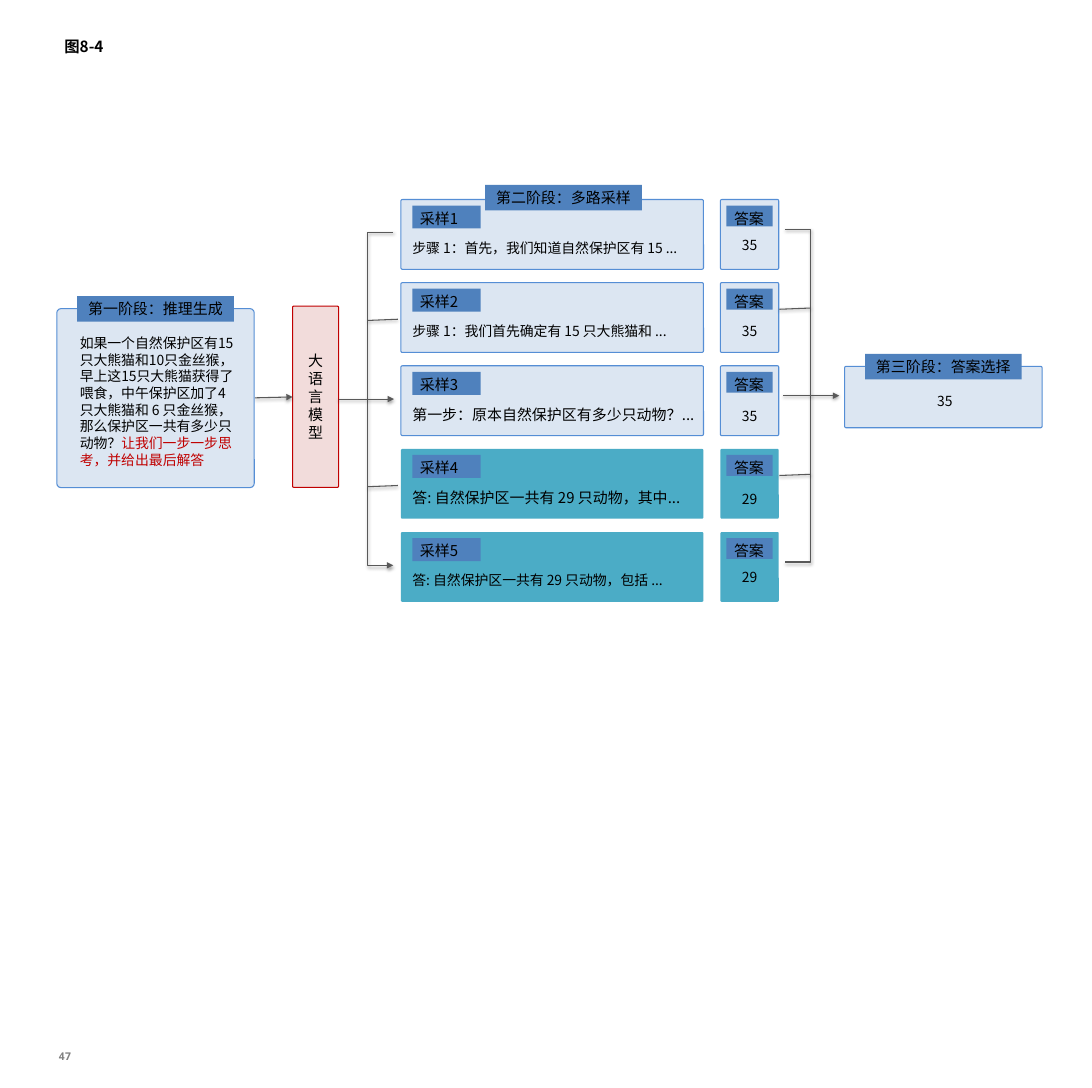
from dataclasses import dataclass

from lxml.etree import SubElement
from pptx import Presentation
from pptx.dml.color import RGBColor
from pptx.enum.shapes import MSO_CONNECTOR, MSO_SHAPE
from pptx.enum.text import MSO_ANCHOR, PP_ALIGN
from pptx.oxml.ns import qn
from pptx.util import Cm, Pt


@dataclass(frozen=True)
class Theme:
    """Colours, fonts and type sizes of the slide."""
    ink: str = "000000"
    accent: str = "C00000"
    label: str = "4F81BD"
    card: str = "DCE6F2"
    card_line: str = "558ED5"
    minority: str = "4BACC6"
    model: str = "F2DCDB"
    arrow: str = "595959"
    footer: str = "808080"
    font: str = "Noto Sans CJK SC"
    mono: str = "Noto Sans Mono"
    heading_size: float = 14.4
    label_size: float = 14
    body_size: float = 13
    footer_size: float = 10
    leading: float = 1.2


@dataclass(frozen=True)
class Box:
    """A rectangle in centimetres."""
    left: float
    top: float
    width: float
    height: float

    def inner(self, dx, dy, width, height):
        """Return a box offset from this one's top left corner."""
        return Box(self.left + dx, self.top + dy, width, height)

    def lengths(self):
        """Return the four sides as slide lengths."""
        return Cm(self.left), Cm(self.top), Cm(self.width), Cm(self.height)


THEME = Theme()
ROW_PITCH = 2.75
SAMPLES = [
    ("步骤 1：首先，我们知道自然保护区有 15 ...", 13, "35", 1.51),
    ("步骤 1：我们首先确定有 15 只大熊猫和 ...", 13, "35", 1.6),
    ("第一步：原本自然保护区有多少只动物？...", 14, "35", 1.66),
    ("答: 自然保护区一共有 29 只动物，其中...", 14, "29", 1.66),
    ("答: 自然保护区一共有 29 只动物，包括 ...", 13, "29", 1.47),
]
QUESTION = ("如果一个自然保护区有15只大熊猫和10只金丝猴，早上这15只大熊猫获得了喂食，"
            "中午保护区加了4只大熊猫和 6 只金丝猴，那么保护区一共有多少只动物？")
INSTRUCTION = "让我们一步一步思考，并给出最后解答"


def write(shape, lines, size, align=PP_ALIGN.LEFT, anchor=MSO_ANCHOR.TOP,
          color=THEME.ink, font=THEME.font, bold=False):
    """Fill a shape with one paragraph per line."""
    frame = shape.text_frame
    frame.word_wrap = True
    frame.vertical_anchor = anchor
    frame.text = "\n".join(lines)
    for paragraph in frame.paragraphs:
        paragraph.alignment = align
        paragraph.line_spacing = Pt(size * THEME.leading)
        paragraph.font.size = Pt(size)
        paragraph.font.bold = bold
        paragraph.font.color.rgb = RGBColor.from_string(color)
        paragraph.font.name = font
        defaults = paragraph._p.pPr.find(qn("a:defRPr"))
        SubElement(defaults, qn("a:ea"), typeface=font)
    return frame


def add_text(slide, box, lines, size, **style):
    """Place a text box."""
    return write(slide.shapes.add_textbox(*box.lengths()), lines, size, **style)


def add_panel(slide, box, fill, line=None, kind=MSO_SHAPE.ROUNDED_RECTANGLE):
    """Place a filled panel, outlined when a line colour is given."""
    panel = slide.shapes.add_shape(kind, *box.lengths())
    panel.shadow.inherit = False
    panel.fill.solid()
    panel.fill.fore_color.rgb = RGBColor.from_string(fill)
    if kind == MSO_SHAPE.ROUNDED_RECTANGLE:
        panel.adjustments[0] = 0.023
    if line:
        panel.line.color.rgb = RGBColor.from_string(line)
        panel.line.width = Pt(1)
    else:
        panel.line.fill.background()
    return panel


def add_label(slide, box, caption, align=PP_ALIGN.LEFT):
    """Place a blue caption tag."""
    tag = add_panel(slide, box, THEME.label, kind=MSO_SHAPE.RECTANGLE)
    write(tag, [caption], THEME.label_size, align)


def style_stroke(stroke, arrow_end=None):
    """Give a connector or bracket its line, soft shadow and arrowhead."""
    stroke.line.color.rgb = RGBColor.from_string(THEME.arrow)
    stroke.line.width = Pt(1)
    properties = stroke._element.spPr
    if arrow_end:
        SubElement(properties.find(qn("a:ln")), qn(f"a:{arrow_end}"), type="triangle")
    effects = SubElement(properties, qn("a:effectLst"))
    shadow = SubElement(effects, qn("a:outerShdw"), blurRad=str(Pt(3.1)),
                        dist=str(Pt(1.6)), dir="5400000", rotWithShape="0")
    tint = SubElement(shadow, qn("a:srgbClr"), val=THEME.ink)
    SubElement(tint, qn("a:alpha"), val="38000")


def add_stroke(slide, box, start, end, arrow=False):
    """Draw a line between two points given relative to a box."""
    stroke = slide.shapes.add_connector(
        MSO_CONNECTOR.STRAIGHT,
        Cm(box.left + start[0]), Cm(box.top + start[1]),
        Cm(box.left + end[0]), Cm(box.top + end[1]))
    style_stroke(stroke, "tailEnd" if arrow else None)


def add_bracket(slide, box, rotation=0, arrow_end=None):
    """Draw a square bracket filling a box."""
    bracket = slide.shapes.add_shape(MSO_SHAPE.LEFT_BRACKET, *box.lengths())
    bracket.adjustments[0] = 0
    bracket.rotation = rotation
    bracket.fill.background()
    style_stroke(bracket, arrow_end)


def add_stage_label(slide, box, caption):
    """Place a stage caption across the top edge of a box."""
    add_label(slide, box.inner((box.width - 5.18) / 2, -0.41, 5.18, 0.84),
              caption, PP_ALIGN.CENTER)


def add_stage(slide, box, caption, body, align):
    """Draw a captioned stage card and return its body text."""
    add_panel(slide, box, THEME.card, THEME.card_line)
    frame = add_text(slide, box.inner(0.51, 0.74, 5.61, box.height - 1.2),
                     [body], THEME.body_size, align=align)
    add_stage_label(slide, box, caption)
    return frame


def add_model(slide, box):
    """Draw the language model column."""
    model = add_panel(slide, box, THEME.model, THEME.accent)
    write(model, "大语言模型", THEME.label_size, PP_ALIGN.CENTER, MSO_ANCHOR.MIDDLE)


def add_sample(slide, box, number, sentence, size, answer, answer_middle):
    """Draw one sampled reasoning path with its answer card."""
    agrees = answer == SAMPLES[0][2]
    colors = (THEME.card, THEME.card_line) if agrees else (THEME.minority,)
    add_panel(slide, box.inner(0, 0, 10.01, box.height), *colors)
    add_text(slide, box.inner(0.13, 1.19, 10.3, 0.84), [sentence], size)
    add_label(slide, box.inner(0.38, 0.2, 2.26, 0.76), f"采样{number}")
    answer_card = box.inner(box.width - 1.93, 0, 1.93, box.height)
    add_panel(slide, answer_card, *colors)
    add_label(slide, answer_card.inner(0.2, 0.2, 1.53, 0.69), "答案")
    add_text(slide, answer_card.inner(0.2, answer_middle - 0.4, 1.53, 0.8), [answer],
             THEME.body_size, align=PP_ALIGN.CENTER, anchor=MSO_ANCHOR.MIDDLE)


def add_sampling(slide, box):
    """Stack the samples and caption the stage."""
    for index, sample in enumerate(SAMPLES):
        row = box.inner(0, index * ROW_PITCH, box.width, 2.31)
        add_sample(slide, row, index + 1, *sample)
    add_stage_label(slide, box.inner(0, -0.07, 10.76, box.height), "第二阶段：多路采样")


def add_fan_out(slide, box):
    """Branch from the model to every sample."""
    add_bracket(slide, box, arrow_end="headEnd")
    add_stroke(slide, box, (-0.97, box.height / 2), (0.86, box.height / 2), arrow=True)
    for y in (2.9, 2.9 + 2 * ROW_PITCH):
        add_stroke(slide, box, (0, y), (0.99, y - 0.04))


def add_fan_in(slide, box):
    """Merge every answer into the final choice."""
    add_bracket(slide, box, rotation=180)
    add_stroke(slide, box, (-0.05, box.height / 2), (1.8, box.height / 2), arrow=True)
    for y in (2.6, 2.6 + 2 * ROW_PITCH):
        add_stroke(slide, box, (box.width, y), (-0.18, y + 0.04))


def add_heading(slide, box):
    """Write the figure number."""
    frame = add_text(slide, box, ["图8-4"], THEME.heading_size,
                     anchor=MSO_ANCHOR.MIDDLE, bold=True)
    frame.margin_left = frame.margin_right = Cm(0.33)


def add_page_number(slide, box):
    """Write the page number."""
    frame = add_text(slide, box, ["47"], THEME.footer_size, align=PP_ALIGN.CENTER,
                     color=THEME.footer, font=THEME.mono, bold=True)
    frame.margin_left = frame.margin_right = frame.margin_top = frame.margin_bottom = 0


def main():
    """Build and save the slide."""
    deck = Presentation()
    deck.slide_width, deck.slide_height = Cm(36.12), Cm(35.99)
    slide = deck.slides.add_slide(deck.slide_layouts[6])
    add_page_number(slide, Box(1.63, 34.72, 1.04, 0.41))
    add_heading(slide, Box(1.8, 1.12, 32.51, 0.84))
    model = Box(9.68, 10.13, 1.52, 5.99)
    add_model(slide, model)
    add_stroke(slide, model, (-1.25, 3.03), (0, 3), arrow=True)
    question = add_stage(slide, Box(1.88, 10.21, 6.53, 5.92), "第一阶段：推理生成",
                         QUESTION, PP_ALIGN.LEFT)
    instruction = question.paragraphs[0].add_run()
    instruction.text = INSTRUCTION
    instruction.font.color.rgb = RGBColor.from_string(THEME.accent)
    add_stage(slide, Box(27.94, 12.12, 6.53, 2.03), "第三阶段：答案选择",
              "35", PP_ALIGN.CENTER)
    add_sampling(slide, Box(13.26, 6.6, 12.5, 13.31))
    add_fan_out(slide, Box(12.17, 7.7, 0.84, 11))
    add_fan_in(slide, Box(25.96, 7.59, 0.84, 11))
    deck.save("out.pptx")


if __name__ == "__main__":
    main()
